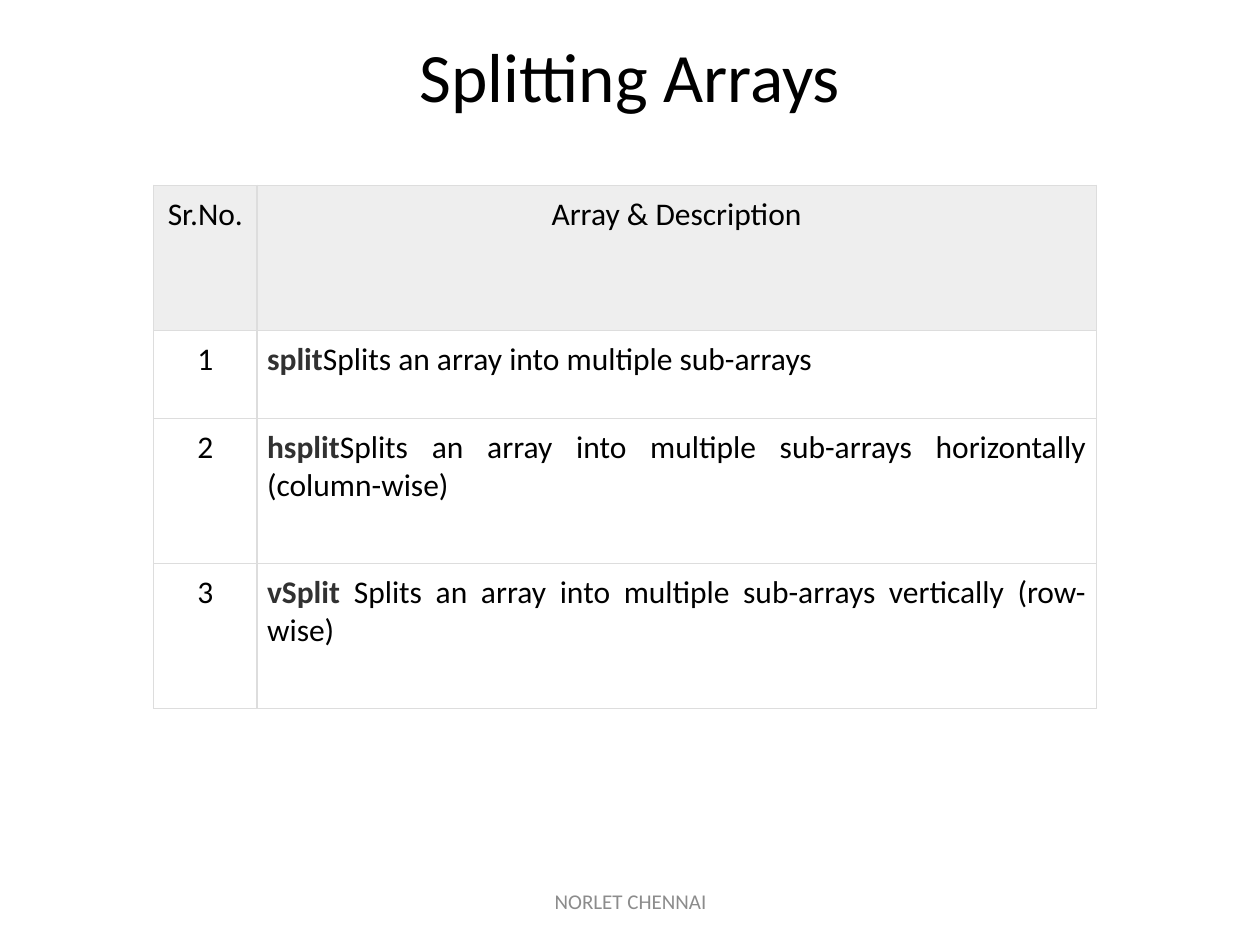
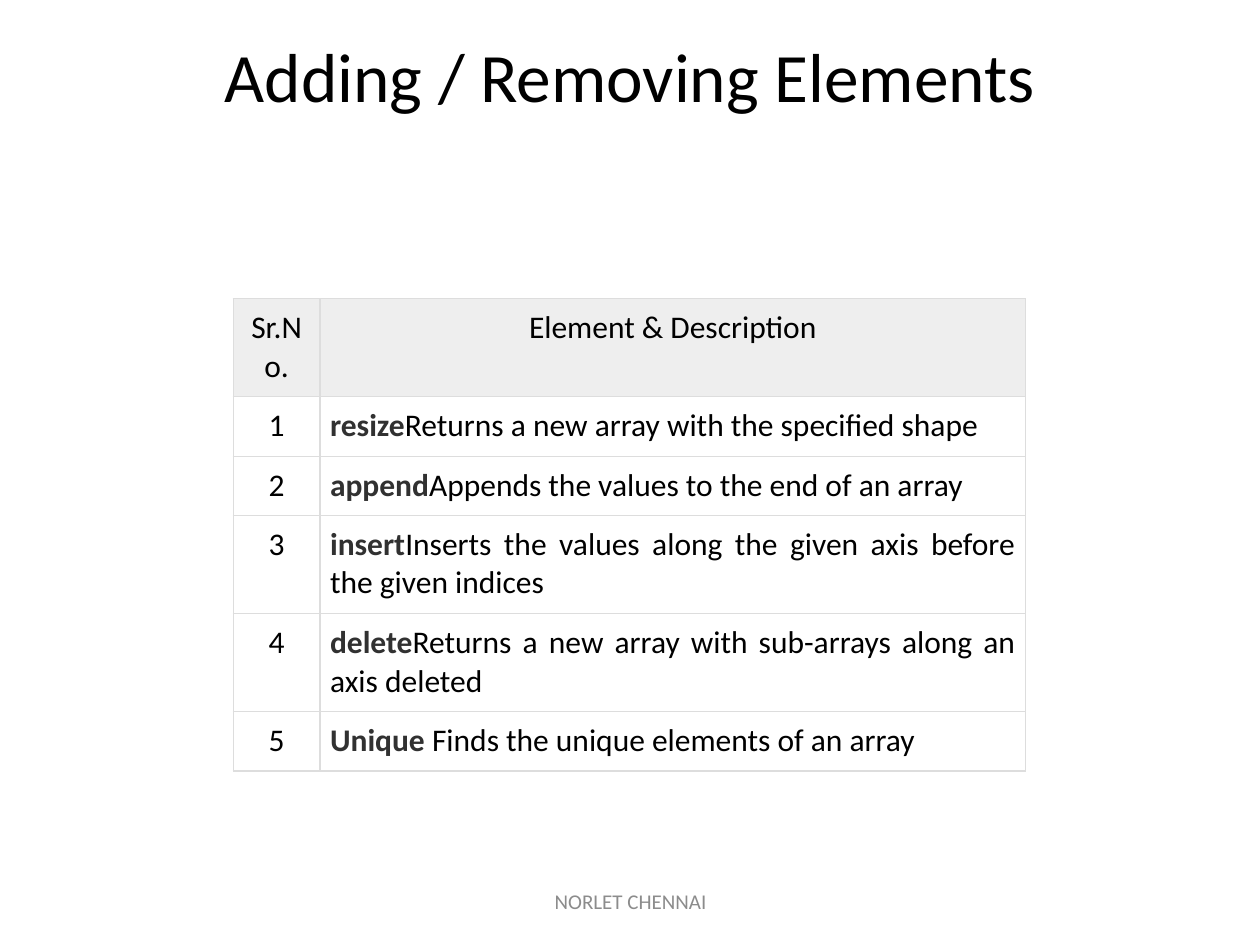
from lxml import etree
from pptx import Presentation
from pptx.dml.color import RGBColor
from pptx.enum import text
from pptx.oxml import ns
from pptx.util import Inches, Pt

# Shared look
FONT = "Calibri"
BLACK = RGBColor(0x00, 0x00, 0x00)
KEYWORD = RGBColor(0x31, 0x31, 0x31)
HEADER_FILL = RGBColor(0xEE, 0xEE, 0xEE)
BORDER = RGBColor(0xDD, 0xDD, 0xDD)
FOOTER_GREY = RGBColor(0x8C, 0x8C, 0x8C)
FOOTER = "NORLET CHENNAI"
CELL_INSET = Inches(0.08)
ONE_LINE, TWO_LINES = 0.47, 0.78  # compact row heights

# Each slide: title, table place, column widths, row heights, heading, entries
SLIDES = [
    ("Splitting Arrays", (1.22, 1.47), (0.82, 6.66), (1.15, 0.7, 1.15, 1.15),
     "Array & Description", [
         ("split", "Splits an array into multiple sub-arrays"),
         ("hsplit", "Splits an array into multiple sub-arrays horizontally (column-wise)"),
         ("vSplit ", "Splits an array into multiple sub-arrays vertically (row-wise)"),
     ]),
    ("Adding / Removing Elements", (1.85, 2.37), (0.69, 5.6),
     (TWO_LINES, ONE_LINE, ONE_LINE, TWO_LINES, TWO_LINES, ONE_LINE),
     "Element & Description", [
         ("resize", "Returns a new array with the specified shape"),
         ("append", "Appends the values to the end of an array"),
         ("insert", "Inserts the values along the given axis before the given indices"),
         ("delete", "Returns a new array with sub-arrays along an axis deleted"),
         ("Unique ", "Finds the unique elements of an array"),
     ]),
]


def style_paragraph(para, size, color, align=text.PP_ALIGN.CENTER):
    para.alignment = align
    para.font.name = FONT
    para.font.size = Pt(size)
    para.font.color.rgb = color


def format_cell(cell, fill=None):
    cell.margin_left = cell.margin_right = CELL_INSET
    cell.margin_top = cell.margin_bottom = CELL_INSET
    properties = cell._tc.get_or_add_tcPr()
    for side in ("a:lnL", "a:lnR", "a:lnT", "a:lnB"):
        line = etree.SubElement(properties, ns.qn(side), w=str(Pt(0.75)))
        solid = etree.SubElement(line, ns.qn("a:solidFill"))
        etree.SubElement(solid, ns.qn("a:srgbClr"), val=str(BORDER))
    if fill is None:
        cell.fill.background()
    else:
        cell.fill.solid()
        cell.fill.fore_color.rgb = fill


deck = Presentation()
deck.slide_width, deck.slide_height = Inches(10), Inches(7.5)

for title, (left, top), widths, heights, heading, entries in SLIDES:
    page = deck.slides.add_slide(deck.slide_layouts[5])

    # Title, raised by a deep bottom inset
    box = page.shapes.title
    box.left, box.top = Inches(0.5), Inches(0.3)
    box.width, box.height = Inches(9), Inches(1.25)
    frame = box.text_frame
    frame.text = title
    frame.vertical_anchor = text.MSO_ANCHOR.MIDDLE
    frame.margin_bottom = Inches(0.72)
    style_paragraph(frame.paragraphs[0], 39.6, BLACK)

    # Table
    table = page.shapes.add_table(
        len(heights), len(widths), Inches(left), Inches(top),
        Inches(sum(widths)), Inches(sum(heights))).table
    table.first_row = table.horz_banding = False
    for column, width in zip(table.columns, widths):
        column.width = Inches(width)
    for row, height in zip(table.rows, heights):
        row.height = Inches(height)

    # Header row
    for cell, label in zip(table.rows[0].cells, ("Sr.No.", heading)):
        format_cell(cell, HEADER_FILL)
        cell.text = label
        style_paragraph(cell.text_frame.paragraphs[0], 18, BLACK)

    # Numbered entries: bold keyword, then its description
    for number, (keyword, description) in enumerate(entries, 1):
        number_cell, entry_cell = table.rows[number].cells
        format_cell(number_cell)
        number_cell.text = str(number)
        style_paragraph(number_cell.text_frame.paragraphs[0], 18, BLACK)

        format_cell(entry_cell)
        para = entry_cell.text_frame.paragraphs[0]
        style_paragraph(para, 18, BLACK, text.PP_ALIGN.JUSTIFY)
        span = para.add_run()
        span.text = keyword
        span.font.bold = True
        span.font.color.rgb = KEYWORD
        para.add_run().text = description

    # Footer
    box = page.shapes.add_textbox(Inches(3.42), Inches(6.95), Inches(3.17), Inches(0.4))
    frame = box.text_frame
    frame.word_wrap = True
    frame.vertical_anchor = text.MSO_ANCHOR.MIDDLE
    frame.text = FOOTER
    style_paragraph(frame.paragraphs[0], 12, FOOTER_GREY)

deck.save("out.pptx")
